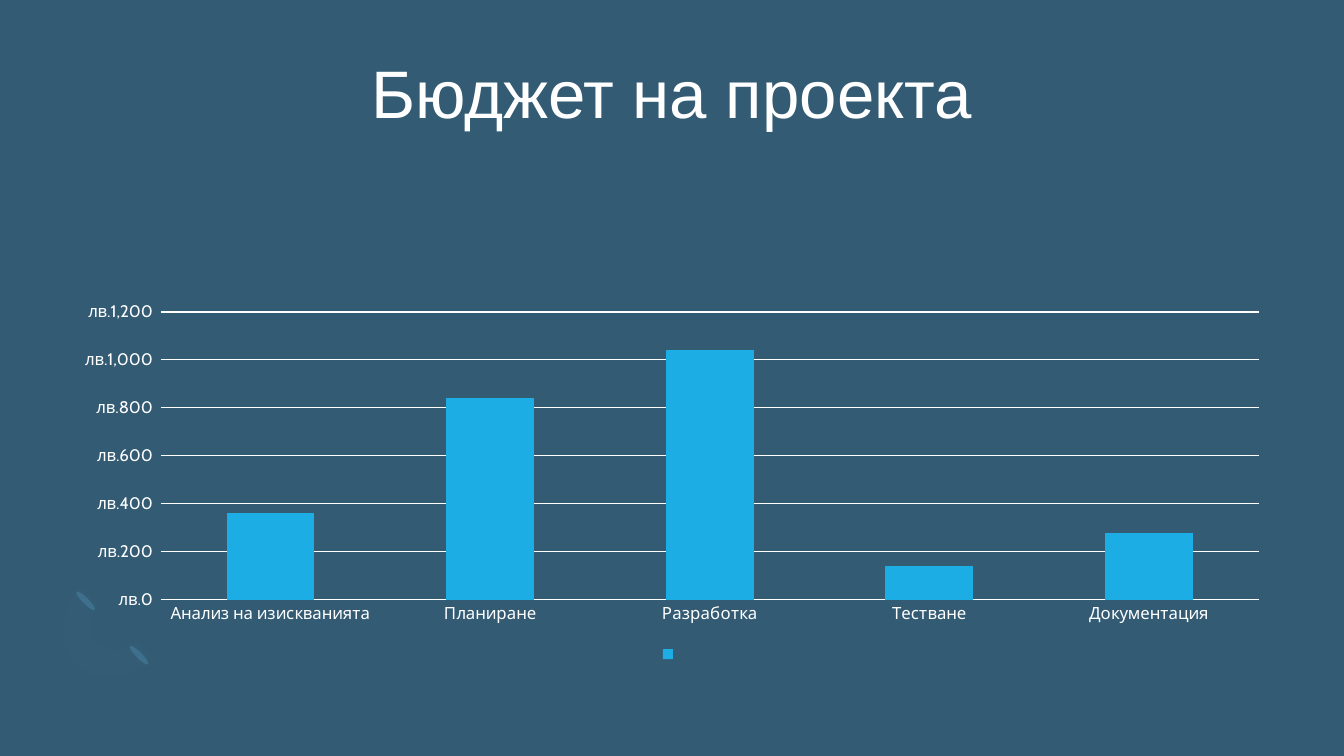
import pptx
import pptx.chart.data
import pptx.dml.color
import pptx.enum.chart
import pptx.enum.shapes
import pptx.enum.text
import pptx.oxml
import pptx.oxml.ns
import pptx.util

Pt = pptx.util.Pt
COLORS = {"bg": "335B74", "text": "FFFFFF", "bar": "1CADE4",
          "leaf": "3D6E8C", "arc": "88B1CB"}
BUDGET = {"Анализ на изискванията": 360, "Планиране": 840, "Разработка": 1040,
          "Тестване": 140, "Документация": 280}
CURRENCY = '"лв."#,##0_);[Red]\\("лв."#,##0\\)'


def rgb(name):
    return pptx.dml.color.RGBColor.from_string(COLORS[name])


def paint(target, color):
    target.fill.solid()
    target.fill.fore_color.rgb = rgb(color)


def style(font, size, name="Cabin", color="text"):
    font.size, font.name, font.bold = Pt(size), name, False
    font.color.rgb = rgb(color)


def add_text(tf, text, size, name="Cabin", align=None, spacing=None):
    p = tf.paragraphs[0]
    p.alignment, p.line_spacing = align, spacing
    r = p.add_run()
    r.text = text
    style(r.font, size, name)


def bezier(a, b, c, d, steps=12):
    """Points along a cubic curve, without its start."""
    for i in range(1, steps + 1):
        t = i / steps
        u = 1 - t
        yield tuple(u**3 * a[k] + 3 * u * u * t * b[k] + 3 * u * t * t * c[k] + t**3 * d[k]
                    for k in (0, 1))


def add_ornament(s, x, y):
    # Two slanted leaves
    for dx, dy in ((56.9, 38.9), (18.7, 0)):
        sp = s.shapes.add_shape(pptx.enum.shapes.MSO_SHAPE.OVAL,
                                Pt(x + dx), Pt(y + dy), Pt(4.3), Pt(18.7))
        sp.rotation = 135
        sp.shadow.inherit = False
        paint(sp, "leaf")
        sp.line.fill.background()

    # Faint crescent between them
    outer = list(bezier((14.4, 54.7), (0, 40.3), (1.4, 15.8), (18, -0.7)))
    inner = list(bezier((31, 12.2), (22.3, 20.2), (21.6, 33.1), (28.8, 39.6)))
    inner += bezier((28.8, 39.6), (36, 46.8), (48.2, 46.1), (56.9, 38.2))
    tail = list(bezier((69.1, 51.1), (53.3, 67), (28.1, 69.1), (14.4, 54.7)))
    points = outer + [(31, 12.2)] + inner + [(69.1, 51.1)] + tail
    points = [(Pt(x + px), Pt(y + py)) for px, py in points]
    builder = s.shapes.build_freeform(*points[0])
    builder.add_line_segments(points[1:], close=True)
    sp = builder.convert_to_shape()
    sp.shadow.inherit = False
    paint(sp, "arc")
    sp.line.fill.background()
    color = sp._element.spPr.find(".//" + pptx.oxml.ns.qn("a:srgbClr"))
    color.append(pptx.oxml.parse_xml(
        f'<a:alpha {pptx.oxml.ns.nsdecls("a")} val="2000"/>'))


def add_title(s, x, y, w, h):
    tf = s.shapes.add_textbox(Pt(x), Pt(y), Pt(w), Pt(h)).text_frame
    tf.word_wrap = True
    tf.margin_left = tf.margin_right = tf.margin_top = tf.margin_bottom = 0
    add_text(tf, "Бюджет на проекта", 48, name="Arial",
             align=pptx.enum.text.PP_ALIGN.CENTER, spacing=0.9)


def add_budget_chart(s, x, y, w, h):
    data = pptx.chart.data.CategoryChartData()
    data.categories = list(BUDGET)
    data.add_series(" ", list(BUDGET.values()))
    chart = s.shapes.add_chart(pptx.enum.chart.XL_CHART_TYPE.COLUMN_CLUSTERED,
                               Pt(x), Pt(y), Pt(w), Pt(h), data).chart
    style(chart.font, 10)
    chart.has_title = True
    add_text(chart.chart_title.text_frame, " ", 18.6)

    # Bars
    plot = chart.plots[0]
    plot.gap_width = 150
    plot.vary_by_categories = False
    paint(plot.series[0].format, "bar")

    # Axes
    for axis in (chart.category_axis, chart.value_axis):
        style(axis.tick_labels.font, 12)
        axis.major_tick_mark = pptx.enum.chart.XL_TICK_MARK.NONE
        axis.format.line.fill.background()
    axis = chart.value_axis
    axis.minimum_scale, axis.maximum_scale, axis.major_unit = 0, 1200, 200
    axis.tick_labels.number_format = CURRENCY
    axis.tick_labels.number_format_is_linked = False
    grid = axis.major_gridlines.format.line
    grid.width = Pt(0.75)
    grid.color.rgb = rgb("text")

    # Legend
    chart.has_legend = True
    chart.legend.position = pptx.enum.chart.XL_LEGEND_POSITION.BOTTOM
    chart.legend.include_in_layout = False
    style(chart.legend.font, 12)

    # Fixed plot area
    area = chart._chartSpace.chart.plotArea
    for old in area.findall(pptx.oxml.ns.qn("c:layout")):
        area.remove(old)
    sizes = "".join(f'<c:{k} val="{v}"/>' for k, v in
                    (("x", 0.082), ("y", 0.182), ("w", 0.898), ("h", 0.661)))
    area.insert(0, pptx.oxml.parse_xml(
        f'<c:layout {pptx.oxml.ns.nsdecls("c")}><c:manualLayout>'
        '<c:layoutTarget val="inner"/><c:xMode val="edge"/><c:yMode val="edge"/>'
        f'{sizes}</c:manualLayout></c:layout>'))


def main():
    prs = pptx.Presentation()
    prs.slide_width, prs.slide_height = Pt(960), Pt(540)
    s = prs.slides.add_slide(prs.slide_layouts[6])
    paint(s.background, "bg")
    add_ornament(s, 40.3, 419.8)
    add_title(s, 43.2, 43.2, 873.4, 105.1)
    add_budget_chart(s, 43.2, 166.3, 873.4, 311)
    prs.save("out.pptx")


if __name__ == "__main__":
    main()
